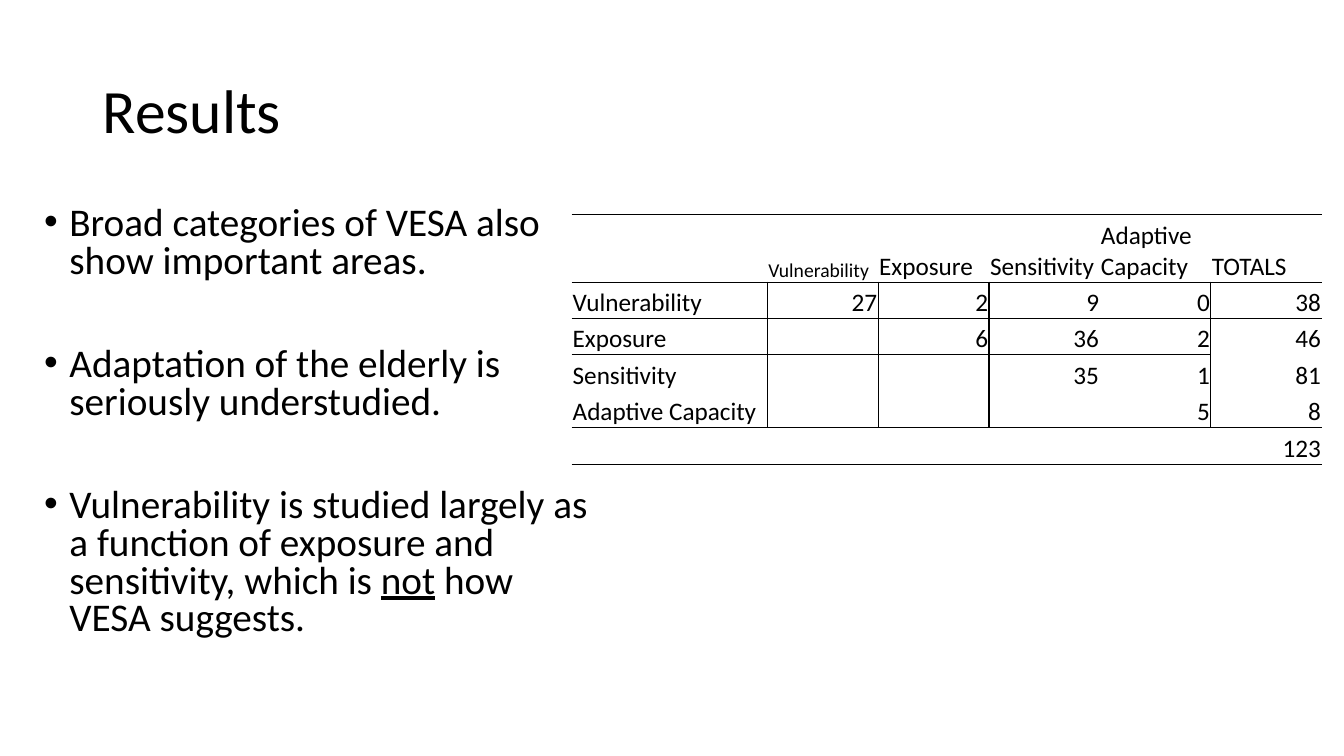
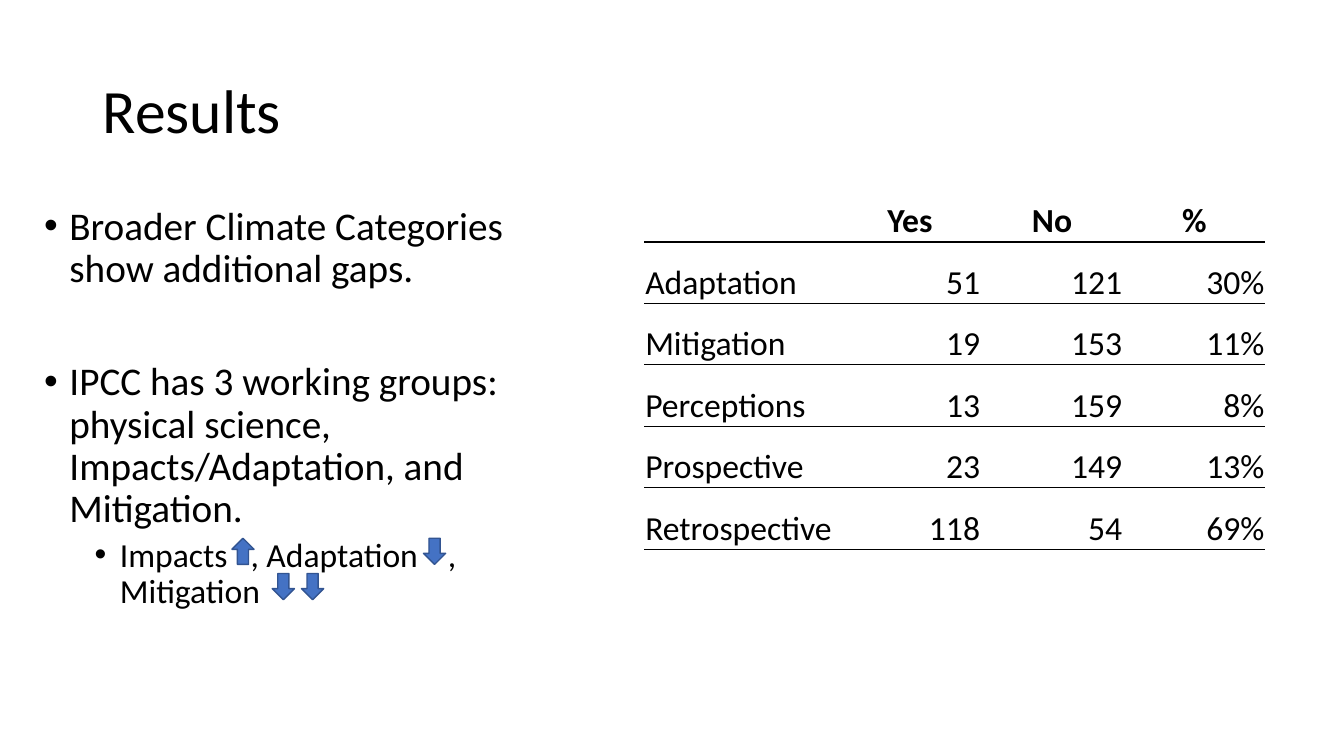
from lxml import etree
from pptx import Presentation, oxml
from pptx.dml.color import RGBColor
from pptx.enum import shapes, text
from pptx.util import Inches, Pt

FONT = "Calibri"
BLACK, BLUE, DARK_BLUE = "000000", "4472C4", "325491"
NO_TABLE_STYLE = "{2D5ABB26-0587-4C30-8999-92F81FD0307C}"
LEFT, CENTER, RIGHT = text.PP_ALIGN.LEFT, text.PP_ALIGN.CENTER, text.PP_ALIGN.RIGHT
DRAWING = 'xmlns:a="http://schemas.openxmlformats.org/drawingml/2006/main"'


def color(hex_string):
    return RGBColor.from_string(hex_string)


def style(paragraph, size, bold=False):
    for run in paragraph.runs:
        run.font.name, run.font.size, run.font.bold = FONT, Pt(size), bold
        run.font.color.rgb = color(BLACK)


# Bullets: (level, space before, runs); a run is (text, underlined, letter spacing)
# Tables: horizontal lines are row edge -> columns crossed,
# vertical lines are column edge -> rows crossed
results = [
    {
        "line_spacing": 0.8,
        "bullets": [
            (0, 10, [("Broad categories of VESA also show important areas.", False, 0)]),
            (0, 47, [("Adaptation of the elderly is\vseriously understudied.", False, 0)]),
            (0, 47, [("Vulnerability is studied largely as a function of exposure and "
                      "sensitivity, which is ", False, 0),
                     ("not", True, 0),
                     (" how VESA suggests.", False, 0)]),
        ],
        "table": {
            "place": (5.67, 2.13),
            "columns": [1.94] + [1.1] * 5,
            "heights": [0.67] + [0.36] * 4 + [0.37],
            "size": 18,
            "header": (LEFT, False),
            "small_cell": (0, 1),
            "horizontal": {0: range(6), 1: range(6), 2: range(5), 5: range(6), 6: range(6)},
            "vertical": {1: range(1, 5), 2: range(1, 5), 5: range(1, 5)},
            "rows": [
                ["", "Vulnerability", "Exposure", "Sensitivity", "Adaptive Capacity", "TOTALS"],
                ["Vulnerability", "27", "2", "9", "0", "38"],
                ["Exposure", "", "6", "36", "2", "46"],
                ["Sensitivity", "", "", "35", "1", "81"],
                ["Adaptive Capacity", "", "", "", "5", "8"],
                ["", "", "", "", "", "123"],
            ],
        },
        "arrows": [],
    },
    {
        "line_spacing": 0.9,
        "bullets": [
            (0, 10, [("Broader Climate Categories show additional gaps.", False, 0)]),
            (0, 50.5, [("IPCC has 3 working groups: physical science, "
                        "Impacts/Adaptation, and Mitigation.", False, 0)]),
            (1, 5, [("Impacts", False, 0), (" ", False, 11), (", Adaptation", False, 0),
                    (" ", False, 16), (", Mitigation", False, 0)]),
        ],
        "table": {
            "place": (6.39, 1.79),
            "columns": [1.93] + [1.41] * 3,
            "heights": [0.61] * 6,
            "size": 24,
            "header": (CENTER, True),
            "small_cell": None,
            "horizontal": {edge: range(4) for edge in (1, 2, 4, 5, 6)},
            "vertical": {},
            "rows": [
                ["", "Yes", "No", "%"],
                ["Adaptation", "51", "121", "30%"],
                ["Mitigation", "19", "153", "11%"],
                ["Perceptions", "13", "159", "8%"],
                ["Prospective", "23", "149", "13%"],
                ["Retrospective", "118", "54", "69%"],
            ],
        },
        "arrows": [("UP_ARROW", 2.3, 5.34), ("DOWN_ARROW", 4.2, 5.34),
                   ("DOWN_ARROW", 2.7, 5.69), ("DOWN_ARROW", 2.99, 5.69)],
    },
]

presentation = Presentation()
presentation.slide_width, presentation.slide_height = Inches(13.33), Inches(7.5)

for result in results:
    slide = presentation.slides.add_slide(presentation.slide_layouts[6])

    # Title
    title = slide.shapes.add_textbox(Inches(0.92), Inches(0.4), Inches(11.5), Inches(1.45))
    title.text_frame.word_wrap = True
    title.text_frame.vertical_anchor = text.MSO_ANCHOR.MIDDLE
    title.text_frame.text = "Results"
    title.text_frame.paragraphs[0].line_spacing = 0.9
    style(title.text_frame.paragraphs[0], 44)

    # Bullets
    body = slide.shapes.add_textbox(Inches(0.34), Inches(2), Inches(5.62), Inches(4.76))
    body.text_frame.word_wrap = True
    for index, (level, space, runs) in enumerate(result["bullets"]):
        frame = body.text_frame
        paragraph = frame.add_paragraph() if index else frame.paragraphs[0]
        paragraph.text = "".join(runs[0][0]) if len(runs) == 1 else ""
        if len(runs) > 1:
            for words, underlined, spacing in runs:
                run = paragraph.add_run()
                run.text = words
                if underlined:
                    run.font.underline = True
                if spacing:
                    run.font._element.set("spc", str(spacing * 100))
        style(paragraph, 24 if level else 28)
        paragraph.level = level
        paragraph.line_spacing = result["line_spacing"]
        paragraph.space_before = Pt(space)
        properties = paragraph._p.get_or_add_pPr()
        properties.set("marL", str(Inches(0.25 + 0.5 * level)))
        properties.set("indent", str(Inches(-0.25)))
        properties.append(oxml.parse_xml(f'<a:buFont {DRAWING} typeface="Arial"/>'))
        properties.append(oxml.parse_xml(f'<a:buChar {DRAWING} char="•"/>'))

    # Table
    data = result["table"]
    left, top = data["place"]
    frame = slide.shapes.add_table(
        len(data["rows"]), len(data["columns"]), Inches(left), Inches(top),
        Inches(sum(data["columns"])), Inches(sum(data["heights"])))
    table = frame.table
    table.first_row = table.horz_banding = False
    table._tbl.tblPr[0].text = NO_TABLE_STYLE
    for column, width in zip(table.columns, data["columns"]):
        column.width = Inches(width)
    for row, height in zip(table.rows, data["heights"]):
        row.height = Inches(height)

    for r, row in enumerate(data["rows"]):
        for c, words in enumerate(row):
            cell = table.cell(r, c)
            cell.margin_left = cell.margin_right = cell.margin_top = Inches(0.01)
            cell.margin_bottom = 0
            cell.vertical_anchor = text.MSO_ANCHOR.BOTTOM
            cell.text_frame.text = words
            paragraph = cell.text_frame.paragraphs[0]
            alignment, bold = data["header"] if r == 0 else (RIGHT if c else LEFT, False)
            paragraph.alignment = alignment
            style(paragraph, 14 if (r, c) == data["small_cell"] else data["size"], bold)

            # Borders
            horizontal, vertical = data["horizontal"], data["vertical"]
            sides = {"lnL": r in vertical.get(c, ()), "lnR": r in vertical.get(c + 1, ()),
                     "lnT": c in horizontal.get(r, ()), "lnB": c in horizontal.get(r + 1, ())}
            for side, drawn in sides.items():
                if drawn:
                    cell._tc.get_or_add_tcPr().append(etree.fromstring(
                        f'<a:{side} {DRAWING} w="{Pt(1)}"><a:solidFill>'
                        f'<a:srgbClr val="{BLACK}"/></a:solidFill></a:{side}>'))
            cell.fill.background()

    # Trend arrows
    for direction, left, top in result["arrows"]:
        arrow = slide.shapes.add_shape(
            shapes.MSO_SHAPE[direction], Inches(left), Inches(top), Inches(0.22), Inches(0.26))
        arrow.shadow.inherit = False
        arrow.fill.solid()
        arrow.fill.fore_color.rgb = color(BLUE)
        arrow.line.color.rgb = color(DARK_BLUE)
        arrow.line.width = Pt(1)

presentation.save("out.pptx")
